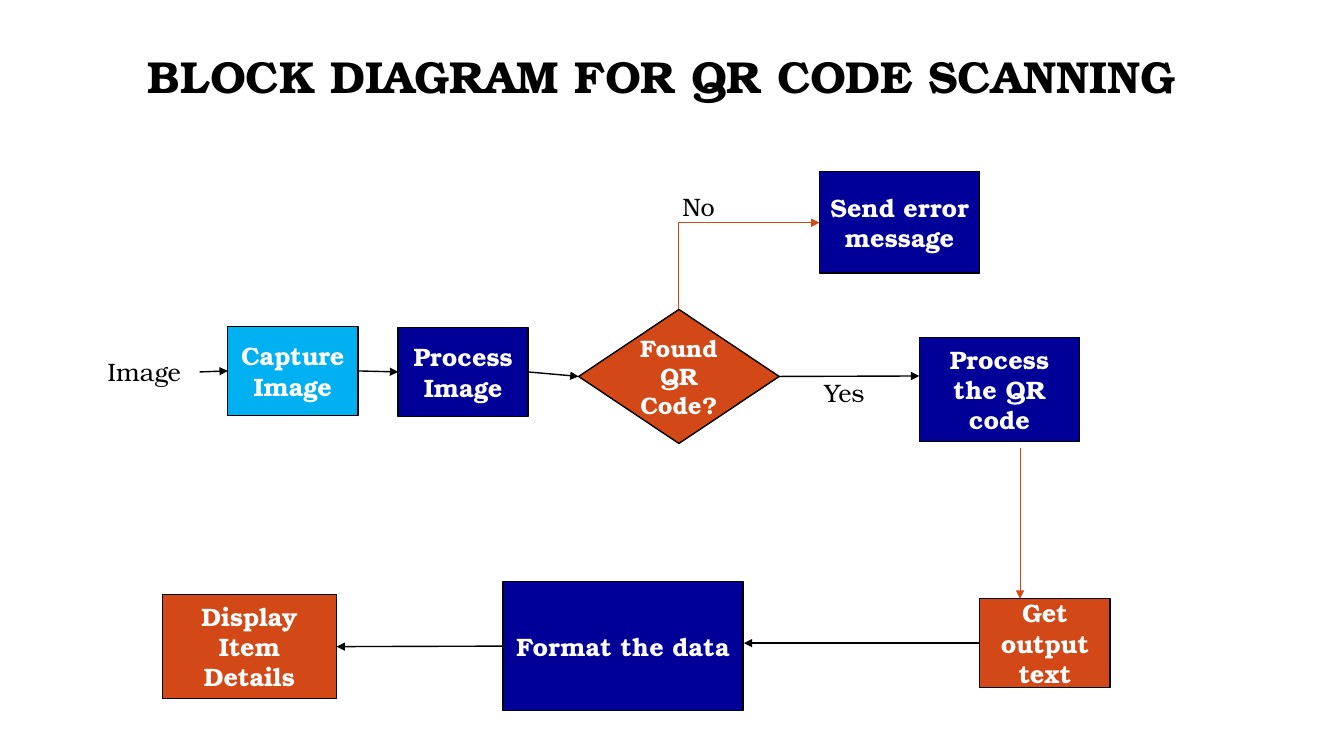
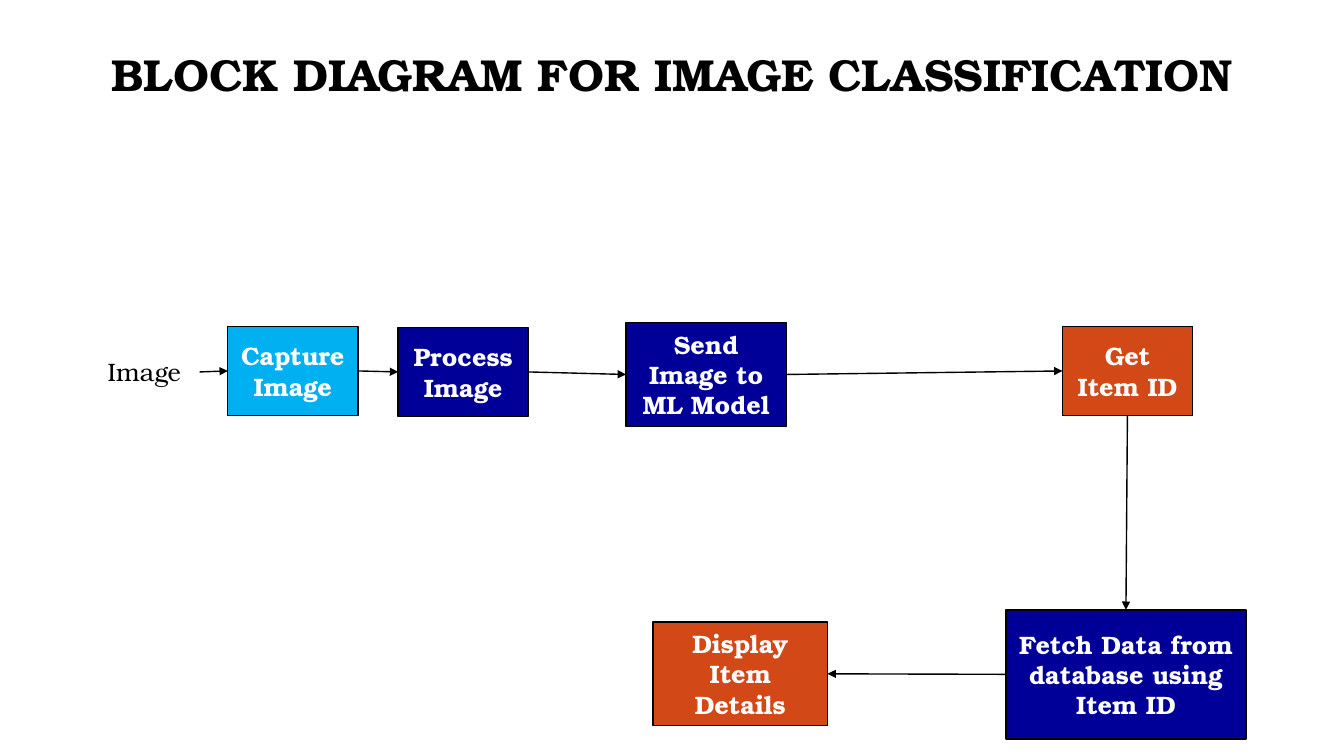
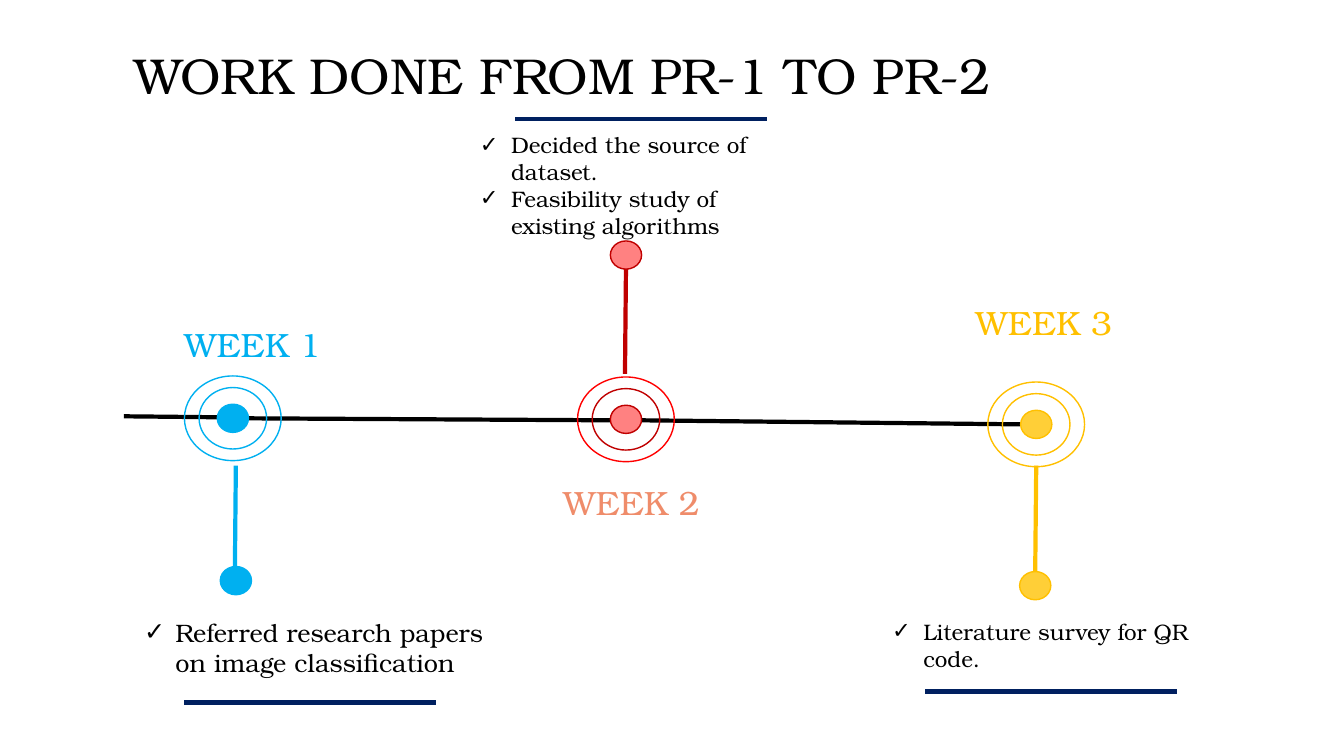
from lxml.etree import SubElement as Sub
from pptx import Presentation as Pres
from pptx.dml.color import RGBColor as RGB
from pptx.enum.shapes import MSO_CONNECTOR as Wire, MSO_SHAPE as Form
from pptx.enum.text import MSO_ANCHOR as Anchor, MSO_AUTO_SIZE as Fit, PP_ALIGN as Align
from pptx.oxml.ns import qn
from pptx.util import Inches, Pt

BLACK = RGB(0x00, 0x00, 0x00)
WHITE = RGB(0xFF, 0xFF, 0xFF)
SKY = RGB(0x00, 0xB0, 0xF0)
BLUE = RGB(0x00, 0x00, 0x99)
NAVY = RGB(0x00, 0x20, 0x60)
RUST = RGB(0xD3, 0x48, 0x17)
PEACH = RGB(0xEF, 0x8C, 0x6A)
PINK = RGB(0xFF, 0x81, 0x81)
RED = RGB(0xFF, 0x00, 0x00)
WINE = RGB(0xC0, 0x00, 0x00)
GOLD = RGB(0xFF, 0xC0, 0x00)
SAND = RGB(0xFF, 0xCF, 0x37)

FONT = "TeX Gyre Bonum"
COLS, ROWS = 133.33, 75
SMALL, MID, WIDE, LARGE = (12.9, 8.8), (15.9, 10.3), (17.3, 10.3), (23.8, 12.8)
DOT, INNER, OUTER = (3.1, 2.8), (6.7, 6.1), (9.6, 8.4)
PLAIN, LISTS = 5, 4


def grid(*cells):
    return [Inches(cell / 10) for cell in cells]


class Deck:
    def __init__(self):
        self.pres = Pres()
        self.pres.slide_width, self.pres.slide_height = grid(COLS, ROWS)

    def start(self, layout, title, spot, size=32, bold=True, align=Align.CENTER):
        self.slide = self.pres.slides.add_slide(self.pres.slide_layouts[layout])
        self.shapes = self.slide.shapes
        head = self.shapes.title
        self.free = [hold for hold in self.slide.placeholders if hold.shape_id != head.shape_id]
        self.place(head, spot)
        self.letter(head, title, size, BLACK, bold, align, Anchor.MIDDLE)
        head.text_frame.paragraphs[0].line_spacing = 0.9

    def place(self, shape, spot):
        shape.left, shape.top, shape.width, shape.height = grid(*spot)

    def letter(self, shape, text, size, color, bold=False, align=Align.LEFT, anchor=Anchor.TOP):
        frame = shape.text_frame
        frame.text = text
        frame.word_wrap = True
        frame.auto_size = Fit.NONE
        frame.vertical_anchor = anchor
        for para in frame.paragraphs:
            para.alignment = align
            para.space_before = Pt(0)
            font = para.font
            font.name, font.size, font.bold = FONT, Pt(size), bold
            font.color.rgb = color

    def label(self, text, x, y, wide, high=4, size=18, color=BLACK):
        self.letter(self.shapes.add_textbox(*grid(x, y, wide, high)), text, size, color)

    def ticks(self, text, spot, size):
        hold = self.free.pop()
        self.place(hold, spot)
        self.letter(hold, text, size, BLACK)
        for para in hold.text_frame.paragraphs:
            props = para._p.get_or_add_pPr()
            props.set("marL", str(Inches(0.31)))
            props.set("indent", str(-Inches(0.31)))
            mark = Sub(props, qn("a:buChar"))
            mark.set("char", "✓")
            props.find(qn("a:defRPr")).addprevious(mark)

    def tidy(self):
        for hold in self.free:
            hold._element.getparent().remove(hold._element)

    def form(self, kind, x, y, size, fill, edge=BLACK):
        shape = self.shapes.add_shape(kind, *grid(x, y, *size))
        shape.shadow.inherit = False
        if fill is None:
            shape.fill.background()
        else:
            shape.fill.solid()
            shape.fill.fore_color.rgb = fill
        shape.line.color.rgb = edge
        shape.line.width = Pt(1)
        return shape

    def box(self, text, x, y, size, fill, kind=Form.RECTANGLE, points=18):
        shape = self.form(kind, x, y, size, fill)
        self.letter(shape, text, points, WHITE, True, Align.CENTER, Anchor.MIDDLE)
        return shape

    def disc(self, x, y, size, fill, edge):
        wide, high = size
        self.form(Form.OVAL, x - wide / 2, y - high / 2, size, fill, edge)

    def line(self, start, end, color=BLACK, width=1, tip=False, kind=Wire.STRAIGHT):
        wire = self.shapes.add_connector(kind, *grid(*start, *end))
        wire.line.color.rgb = color
        wire.line.width = Pt(width)
        if tip:
            Sub(wire.line._get_or_add_ln(), qn("a:tailEnd")).set("type", "triangle")
        Sub(wire._element.spPr, qn("a:effectLst"))
        return wire

    def flow(self, first, out, last, side):
        wire = self.line((0, 0), (1, 1), tip=True)
        wire.begin_connect(first, out)
        wire.end_connect(last, side)

    def bend(self, start, end, color, width):
        (x, y), (right, top) = start, end
        midx, midy = (x + right) / 2, (y + top) / 2
        dx, dy = (y - top) / 2, (right - x) / 2
        wire = self.line((midx + dx, midy + dy), (midx - dx, midy - dy), color, width, True, Wire.ELBOW)
        props = wire._element.spPr
        props.find(qn("a:prstGeom")).set("prst", "bentConnector2")
        props.find(qn("a:xfrm")).set("rot", "5400000")

    def intake(self):
        self.label("Image", 9.7, 34.9, 10)
        grab = self.box("Capture Image", 22.6, 32.4, SMALL, SKY)
        work = self.box("Process Image", 39.5, 32.5, SMALL, BLUE)
        self.line((19.8, 36.9), (22.6, 36.8), tip=True).end_connect(grab, 1)
        self.flow(grab, 3, work, 1)
        return work

    def week(self, name, spot, hub, stem, ball, tint, edge, ring, color):
        self.disc(*hub, DOT, tint, edge)
        self.disc(*hub, INNER, None, edge)
        self.disc(*hub, OUTER, None, ring)
        self.line(*stem, edge, 3)
        self.disc(*ball, DOT, tint, edge)
        self.label(name, *spot, 16.9, 5, 24, color)


def scan(deck):
    deck.start(PLAIN, "BLOCK DIAGRAM FOR QR CODE SCANNING", (8.6, 4.6, 114.2, 6.4))
    work = deck.intake()
    ask = deck.box("Found QR Code?", 57.4, 30.7, (19.9, 13.3), RUST, Form.DIAMOND, 17)
    deck.box("Send error message", 81.3, 17, (15.9, 10.1), BLUE)
    deck.box("Process the QR code", 91.2, 33.5, MID, BLUE)
    get = deck.box("Get output text", 97.2, 59.4, SMALL, RUST)
    data = deck.box("Format the data", 49.9, 57.7, LARGE, BLUE)
    show = deck.box("Display Item Details", 16.1, 59, WIDE, RUST)
    deck.flow(work, 3, ask, 1)
    deck.line((77.3, 37.5), (91.2, 37.3), tip=True).begin_connect(ask, 3)
    deck.line((97.2, 63.8), (73.8, 63.8), tip=True).begin_connect(get, 1)
    deck.flow(data, 1, show, 3)
    deck.label("No", 66.7, 18.5, 9.1)
    deck.label("Yes", 80.8, 36.9, 9.1)
    deck.bend((67.3, 30.7), (81.3, 22.1), RUST, 0.5)
    deck.line((101.2, 44.4), (101.2, 59.4), RUST, 0.5, True)


def sort(deck):
    deck.start(PLAIN, "BLOCK DIAGRAM FOR IMAGE CLASSIFICATION", (9.6, 4.4, 114.2, 6.4))
    work = deck.intake()
    send = deck.box("Send Image to ML Model", 62.1, 32, MID, BLUE)
    get = deck.box("Get Item ID", 105.4, 32.4, SMALL, RUST)
    fetch = deck.box("Fetch Data from database using Item ID", 99.8, 60.5, LARGE, BLUE)
    show = deck.box("Display Item Details", 64.8, 61.7, WIDE, RUST)
    deck.flow(work, 3, send, 1)
    deck.flow(send, 3, get, 1)
    deck.flow(get, 2, fetch, 0)
    deck.flow(fetch, 1, show, 3)


def weeks(deck):
    deck.start(LISTS, "WORK DONE FROM PR-1 TO PR-2", (12.3, -0.3, 112.7, 16.2), 36, False, Align.LEFT)
    for start, end in (
        ((12.3, 41.3), (21.8, 41.4)),
        ((24.6, 41.5), (60.5, 41.7)),
        ((63.6, 41.7), (101.2, 42.1)),
    ):
        deck.line(start, end, width=3)
    deck.week("WEEK 1", (17.3, 31.6), (23.1, 41.5), ((23.4, 46.2), (23.3, 56.7)),
              (23.4, 57.6), SKY, SKY, SKY, SKY)
    deck.week("WEEK 2", (54.9, 47.3), (62.1, 41.6), ((62.1, 26.7), (62, 37.1)),
              (62.1, 25.3), PINK, WINE, RED, PEACH)
    deck.week("WEEK 3", (95.8, 29.5), (102.8, 42.1), ((102.8, 46.2), (102.7, 56.7)),
              (102.7, 58.1), SAND, GOLD, GOLD, GOLD)
    for x, y in (18.3, 69.7), (51.1, 11.8), (91.8, 68.6):
        deck.line((x, y), (x + 25, y), NAVY, 3)
    deck.ticks("Referred research papers on image classification", (13.3, 60.7, 36.2, 7.1), 18)
    deck.ticks("Decided the source of dataset.\nFeasibility study of existing algorithms",
               (46.6, 12.5, 33.6, 14.5), 16)
    deck.ticks("Literature survey for QR code.", (87.5, 60.8, 33.6, 9.1), 16)
    deck.tidy()


def main():
    deck = Deck()
    scan(deck)
    sort(deck)
    weeks(deck)
    deck.pres.save("out.pptx")


if __name__ == "__main__":
    main()
